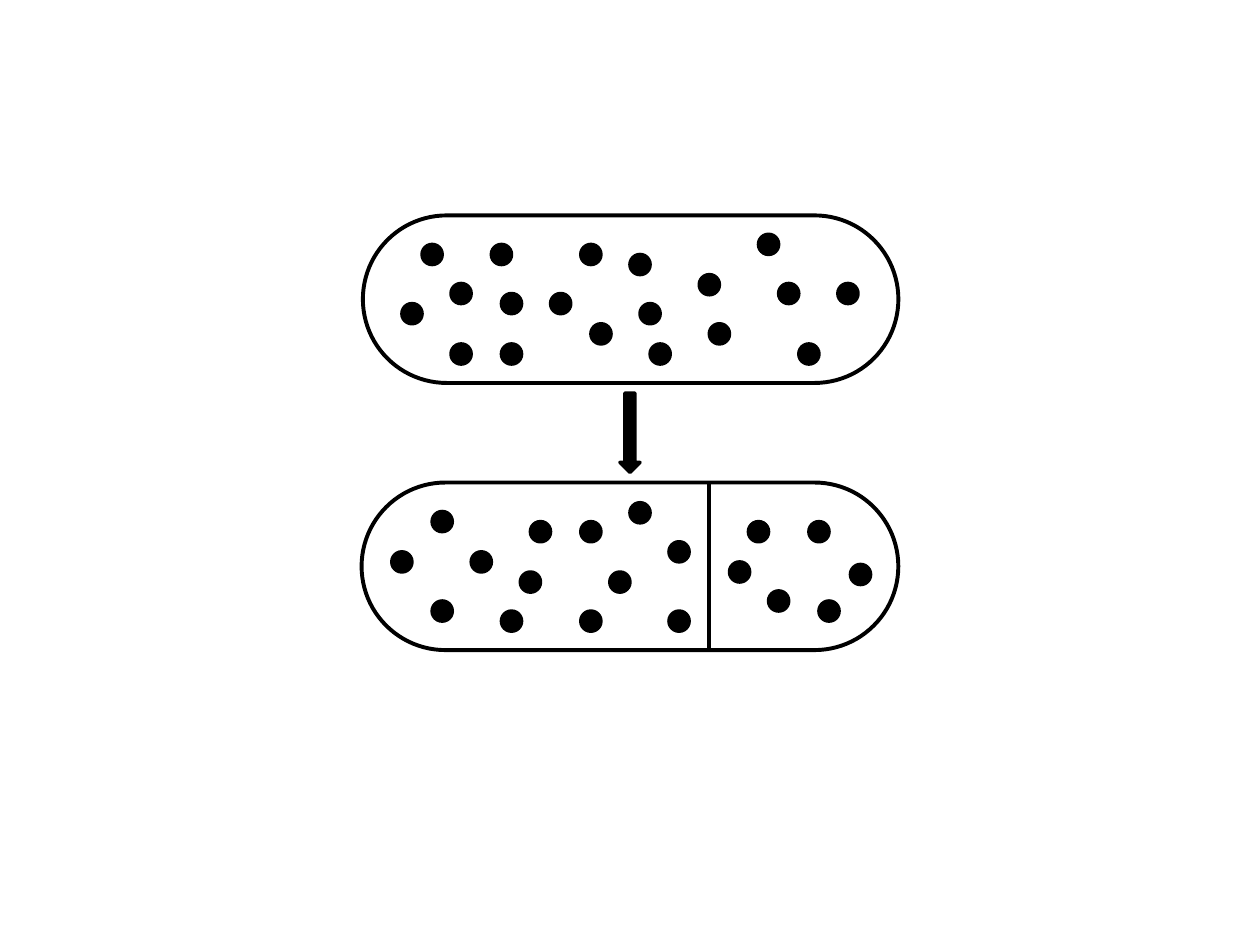
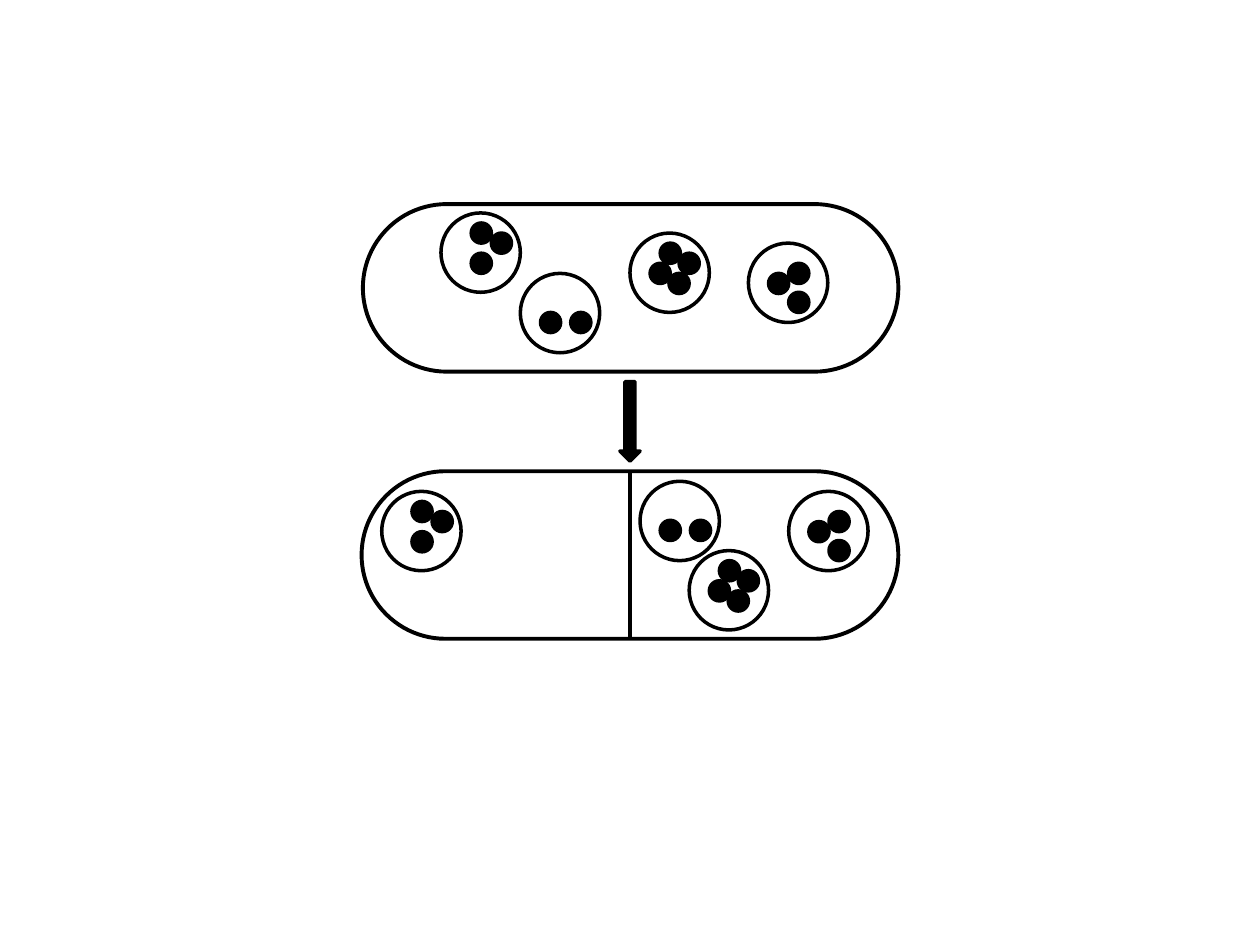
from lxml import etree
from pptx import Presentation
from pptx.dml.color import RGBColor
from pptx.enum.shapes import MSO_CONNECTOR, MSO_SHAPE
from pptx.oxml.ns import qn
from pptx.util import Pt

PILL = MSO_SHAPE.ROUNDED_RECTANGLE
ELLIPSE = MSO_SHAPE.OVAL
DOWN_ARROW = MSO_SHAPE.DOWN_ARROW
STRAIGHT = MSO_CONNECTOR.STRAIGHT

PX = 9144
BLACK, WHITE = "000000", "FFFFFF"
WALL = {"width": Pt(2.25)}
THIN = {"width": Pt(2)}
DOT, VESICLE = 16, 63
CELL_H, CELL_STEP = 133, 212

FREE_TOP = [
    (335, 194), (319, 241), (390, 194), (358, 225), (358, 273), (398, 233),
    (398, 273), (469, 257), (618, 225), (500, 202), (634, 273), (602, 186),
    (665, 225), (563, 257), (555, 218), (516, 273), (461, 194), (508, 241),
    (437, 233),
]
FREE_BOTTOM = [
    (343, 406), (421, 414), (374, 438), (413, 454), (461, 414), (311, 438),
    (343, 477), (500, 399), (484, 454), (398, 485), (531, 485), (461, 485),
    (531, 430), (594, 414), (610, 469), (642, 414), (650, 477), (675, 448),
    (579, 446),
]
CONTENTS = {
    "bent": [(40, 16), (24, 8), (24, 32)],
    "pair": [(16, 31), (40, 31)],
    "four": [(16, 24), (31, 32), (39, 16), (24, 8)],
    "wedge": [(32, 39), (16, 24), (32, 16)],
}
VESICLES = [
    ("bent", 350, 169), ("pair", 413, 217), ("four", 500, 185),
    ("wedge", 594, 193), ("bent", 303, 390), ("pair", 508, 382),
    ("four", 547, 437), ("wedge", 626, 390),
]


def rgb(color):
    return RGBColor.from_string(color)


class Deck:
    """Holds the drawing style and the current slide."""

    def __init__(self, width, height):
        self.prs = Presentation()
        self.prs.slide_width = width * PX
        self.prs.slide_height = height * PX

    def slide(self):
        slide = self.prs.slides.add_slide(self.prs.slide_layouts[6])
        self.shapes = slide.shapes.add_group_shape().shapes

    def outline(self, sp, fmt):
        sp.line.color.rgb = rgb(BLACK)
        for name, value in fmt.items():
            setattr(sp.line, name, value)

    def shape(self, kind, x, y, w, h, fill=None, fmt=THIN):
        sp = self.shapes.add_shape(kind, x * PX, y * PX, w * PX, h * PX)
        sp.shadow.inherit = False
        if fill:
            sp.fill.solid()
            sp.fill.fore_color.rgb = rgb(fill)
        else:
            sp.fill.background()
        self.outline(sp, fmt)
        return sp

    def cell(self, x, y, w):
        self.shape(PILL, x, y, w, CELL_H, fmt=WALL).adjustments[0] = 0.5

    def septum(self, x, y):
        line = self.shapes.add_connector(
            STRAIGHT, x * PX, y * PX, x * PX, (y + CELL_H) * PX)
        self.outline(line, WALL)
        etree.SubElement(line._element.spPr, qn("a:effectLst"))

    def division(self, top, septum_x):
        bottom = top + CELL_STEP
        self.cell(287, bottom, 426)
        self.cell(288, top, 425)
        self.septum(septum_x, bottom)
        self.shape(DOWN_ARROW, 492, top + 141, DOT, 63, BLACK)

    def dots(self, points, dx=0, dy=0):
        for x, y in points:
            self.shape(ELLIPSE, dx + x, dy + y, DOT, DOT, BLACK)

    def vesicle(self, content, x, y):
        self.shape(ELLIPSE, x, y, VESICLE, VESICLE, WHITE)
        self.dots(CONTENTS[content], x, y)


def main():
    deck = Deck(1000, 750)

    deck.slide()
    deck.division(171, 563)
    deck.dots(FREE_TOP + FREE_BOTTOM)

    deck.slide()
    deck.division(162, 500)
    for vesicle in VESICLES:
        deck.vesicle(*vesicle)

    deck.prs.save("out.pptx")


if __name__ == "__main__":
    main()
